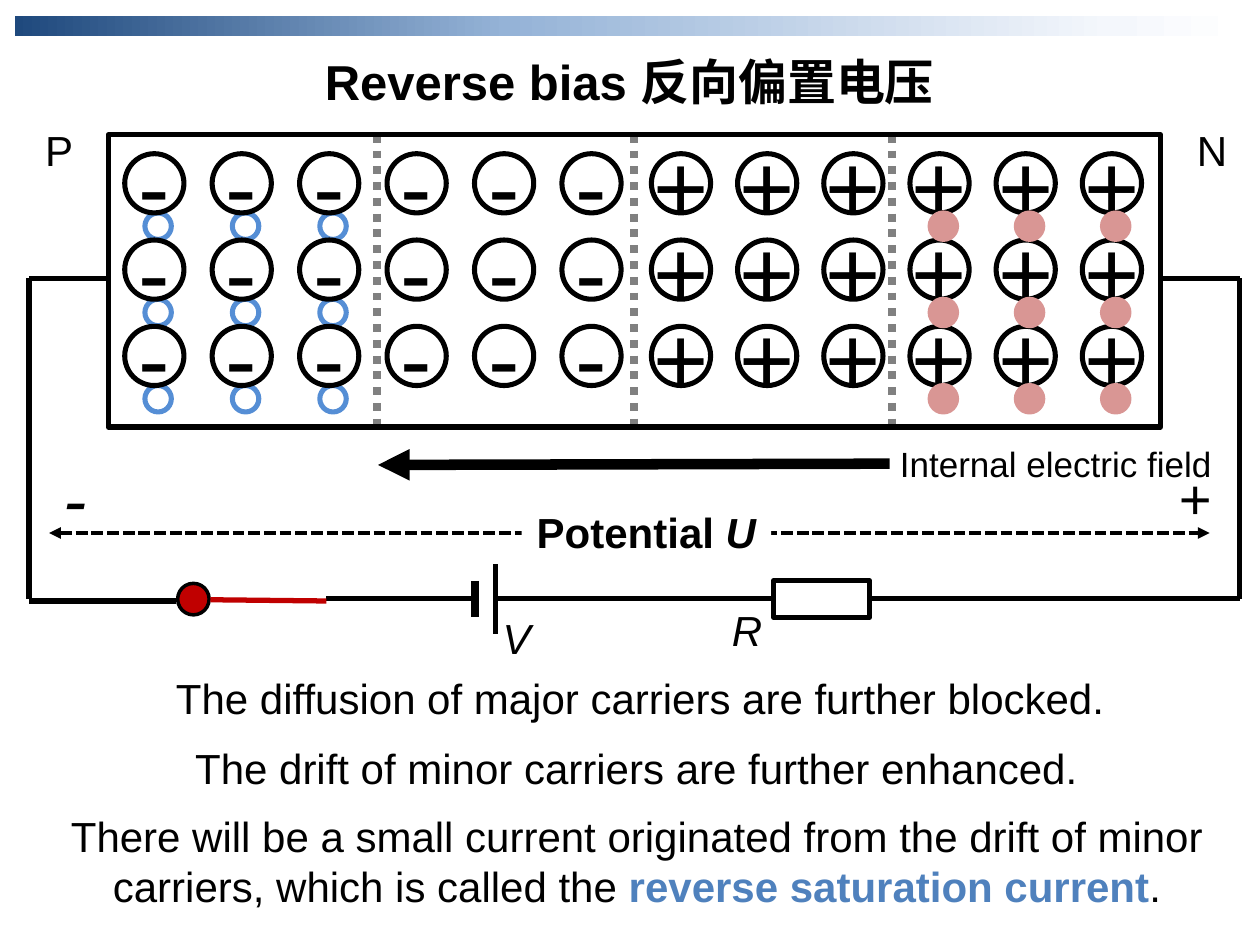
from lxml import etree
from pptx import Presentation
from pptx.dml.color import RGBColor
from pptx.enum.dml import MSO_LINE
from pptx.enum.shapes import MSO_CONNECTOR, MSO_SHAPE
from pptx.enum.text import MSO_ANCHOR, PP_ALIGN
from pptx.oxml.ns import qn
from pptx.util import Inches, Pt

BLACK = RGBColor(0x00, 0x00, 0x00)
WHITE = RGBColor(0xFF, 0xFF, 0xFF)
GRAY = RGBColor(0x80, 0x80, 0x80)
RED = RGBColor(0xC0, 0x00, 0x00)
HOLE_BLUE = RGBColor(0x55, 0x8E, 0xD5)
ELECTRON_PINK = RGBColor(0xD9, 0x96, 0x94)
TERM_BLUE = RGBColor(0x4F, 0x81, 0xBD)
BANNER_STOPS = [(0, "1F497D"), (40, "95B3D7"), (89, "F4F7FC"), (100, "FFFFFF")]

ION_SIZE, CARRIER_SIZE = 0.47, 0.21
ROW_PITCH = 0.685


def add_outline(slide, kind, box, fill=None, line=None, width=3):
    shape = slide.shapes.add_shape(kind, *map(Inches, box))
    shape.shadow.inherit = False
    if fill is None:
        shape.fill.background()
    else:
        shape.fill.solid()
        shape.fill.fore_color.rgb = fill
    if line is None:
        shape.line.fill.background()
    else:
        shape.line.color.rgb = line
        shape.line.width = Pt(width)
    return shape


def add_wire(slide, start, end, color=BLACK, width=3, dash=None, arrows=()):
    wire = slide.shapes.add_connector(
        MSO_CONNECTOR.STRAIGHT, *map(Inches, (*start, *end)))
    wire.line.color.rgb = color
    wire.line.width = Pt(width)
    if dash is not None:
        wire.line.dash_style = dash
    for end_tag in arrows:
        etree.SubElement(wire.line._get_or_add_ln(), qn(end_tag), type="triangle")
    etree.SubElement(wire._element.spPr, qn("a:effectLst"))
    return wire


def write(frame, parts, size):
    """Fill the frame with one centred paragraph of (text, style) parts."""
    paragraph = frame.paragraphs[0]
    paragraph.alignment = PP_ALIGN.CENTER
    for text, style in parts:
        run = paragraph.add_run()
        run.text = text
        run.font.name = "Arial"
        run.font.size = Pt(size)
        run.font.bold = style.get("bold", False)
        run.font.italic = style.get("italic", False)
        run.font.color.rgb = style.get("color", BLACK)


def add_label(slide, box, text, size, **style):
    label = slide.shapes.add_textbox(*map(Inches, box))
    label.text_frame.word_wrap = True
    parts = [(text, style)] if isinstance(text, str) else text
    write(label.text_frame, parts, size)


def add_header(slide, box):
    left, top, width, height = box
    banner = add_outline(slide, MSO_SHAPE.RECTANGLE, (left, top, width, 0.16))
    banner.fill.gradient()
    banner.fill.gradient_angle = 0
    stops = banner._element.spPr.find(qn("a:gradFill")).find(qn("a:gsLst"))
    for stop in list(stops):
        stops.remove(stop)
    for percent, color in BANNER_STOPS:
        stop = etree.SubElement(stops, qn("a:gs"), pos=str(percent * 1000))
        etree.SubElement(stop, qn("a:srgbClr"), val=color)
    add_label(slide, (left + 0.23, top + 0.23, width - 0.47, height - 0.23),
              "Reverse bias 反向偏置电压", 28, bold=True)


def add_ions(slide, left, top, pitch, sign):
    for column in range(6):
        for row in range(3):
            ion = add_outline(
                slide, MSO_SHAPE.OVAL,
                (left + column * pitch, top + row * ROW_PITCH, ION_SIZE, ION_SIZE),
                line=BLACK, width=2.88)
            ion.text_frame.word_wrap = False
            ion.text_frame.vertical_anchor = MSO_ANCHOR.MIDDLE
            write(ion.text_frame, [(sign, {})], 54)


def add_carriers(slide, left, top, pitch, fill, line):
    for column in range(3):
        for row in range(3):
            add_outline(
                slide, MSO_SHAPE.OVAL,
                (left + column * pitch, top + row * ROW_PITCH,
                 CARRIER_SIZE, CARRIER_SIZE), fill, line, 2.88)


def add_junction(slide, box):
    left, top, width, height = box
    p_left, p_pitch = left + 0.13, 0.694
    n_left, n_pitch = left + 4.31, 0.684
    ion_top = top + 0.15
    carrier_top = ion_top + ION_SIZE
    add_ions(slide, n_left, ion_top, n_pitch, "+")
    # Boundaries of the depletion layer and the junction between them
    for offset in (2.13, 4.17, 6.22):
        add_wire(slide, (left + offset, top), (left + offset, top + height),
                 GRAY, 4.5, MSO_LINE.ROUND_DOT)
    # Free carriers stay outside the depletion layer
    add_carriers(slide, n_left + 3 * n_pitch + 0.16, carrier_top, n_pitch,
                 ELECTRON_PINK, ELECTRON_PINK)
    add_carriers(slide, p_left + 0.16, carrier_top, p_pitch, WHITE, HOLE_BLUE)
    add_ions(slide, p_left, ion_top, p_pitch, "-")
    add_outline(slide, MSO_SHAPE.RECTANGLE, box, line=BLACK)
    add_label(slide, (left - 0.86, top - 0.13, 0.94, 0.5), "P", 24)
    add_label(slide, (left + width - 0.06, top - 0.13, 0.94, 0.5), "N", 24)


def add_circuit(slide, box, crystal_left, crystal_right):
    left, top, width, height = box
    right, bottom = left + width, top + height
    battery = left + 3.7
    # Leads and lower wires
    for start, end in [
        ((left, top), (crystal_left, top)),
        ((crystal_right, top), (right, top)),
        ((left, top), (left, bottom)),
        ((right, top), (right, bottom)),
        ((left, bottom + 0.02), (left + 1.17, bottom + 0.02)),
        ((left + 2.36, bottom), (battery - 0.17, bottom)),
        ((battery, bottom), (right, bottom)),
    ]:
        add_wire(slide, start, end)
    # Battery plates
    add_wire(slide, (battery, bottom - 0.27), (battery, bottom + 0.28))
    add_wire(slide, (battery - 0.16, bottom - 0.14),
             (battery - 0.16, bottom + 0.15), width=4.5)
    add_label(slide, (battery - 0.3, bottom + 0.06, 0.94, 0.5), "V", 24, italic=True)
    # Resistor
    add_outline(slide, MSO_SHAPE.RECTANGLE,
                (left + 5.91, bottom - 0.14, 0.76, 0.29), WHITE, BLACK)
    add_label(slide, (left + 5.23, bottom, 0.94, 0.5), "R", 24, italic=True)
    # Switch
    add_outline(slide, MSO_SHAPE.OVAL,
                (left + 1.18, bottom - 0.12, 0.25, 0.25), RED, BLACK, 2)
    add_wire(slide, (left + 1.44, bottom + 0.01), (left + 2.36, bottom + 0.02), RED)


def add_fields(slide, box):
    left, top, width, height = box
    right, potential_y = left + width, top + height
    # Internal field
    add_wire(slide, (left + 6.67, top), (left + 2.61, top + 0.01),
             width=6, arrows=["a:tailEnd"])
    # Applied potential
    add_wire(slide, (left, potential_y), (right, potential_y), width=2.25,
             dash=MSO_LINE.SQUARE_DOT, arrows=["a:headEnd", "a:tailEnd"])
    potential = add_outline(slide, MSO_SHAPE.RECTANGLE,
                            (left + 3.75, potential_y - 0.26, 1.98, 0.5), WHITE)
    potential.text_frame.vertical_anchor = MSO_ANCHOR.TOP
    write(potential.text_frame,
          [("Potential ", {"bold": True}), ("U", {"bold": True, "italic": True})], 24)
    add_label(slide, (left - 0.26, top - 0.11, 0.94, 0.77), "-", 40, italic=True)
    add_label(slide, (right - 0.59, top - 0.05, 0.94, 0.64), "+", 32, italic=True)
    add_label(slide, (left + 6.11, top - 0.22, 3.76, 0.44),
              "Internal electric field", 20)


def add_conclusions(slide, box):
    left, top, width, height = box
    add_label(slide, (left + 0.4, top, 8.52, 0.5),
              "The diffusion of major carriers are further blocked.", 24)
    add_label(slide, (left + 0.37, top + 0.55, 8.52, 0.5),
              "The drift of minor carriers are further enhanced.", 24)
    add_label(slide, (left, top + 1.09, width, height - 1.09), [
        ("There will be a small current originated from the drift of minor "
         "carriers, which is called the ", {}),
        ("reverse saturation current", {"bold": True, "color": TERM_BLUE}),
        (".", {}),
    ], 24)


def main():
    deck = Presentation()
    deck.slide_width, deck.slide_height = Inches(10), Inches(7.5)
    slide = deck.slides.add_slide(deck.slide_layouts[6])
    add_header(slide, (0.12, 0.13, 9.76, 0.8))
    add_junction(slide, (0.86, 1.07, 8.35, 2.32))
    add_circuit(slide, (0.23, 2.21, 9.61, 2.54), 0.86, 9.21)
    add_fields(slide, (0.39, 3.68, 9.21, 0.55))
    add_conclusions(slide, (0.42, 5.29, 9.27, 2))
    deck.save("out.pptx")


if __name__ == "__main__":
    main()
